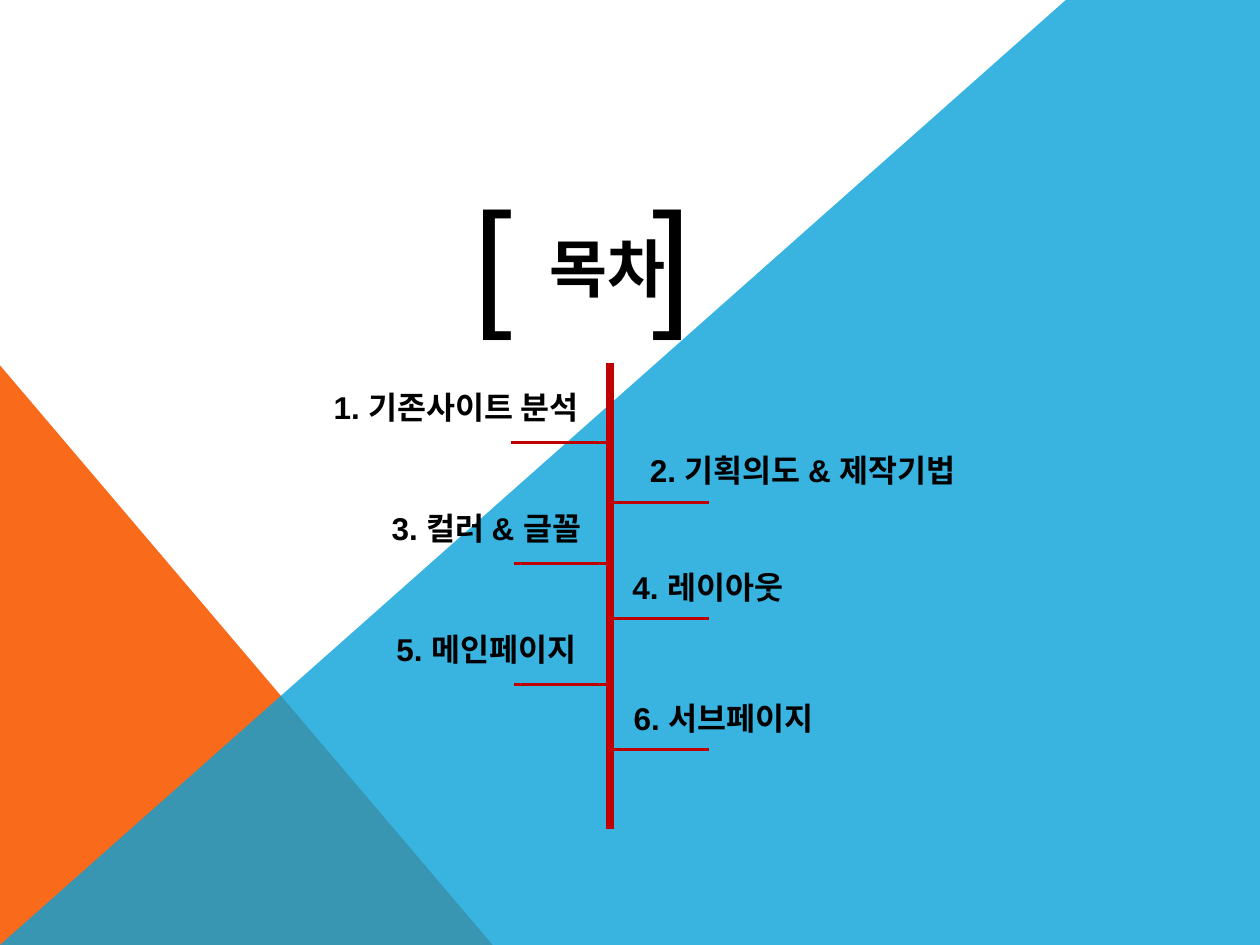
from lxml.etree import SubElement
from pptx import Presentation
from pptx.dml.color import RGBColor
from pptx.enum.shapes import MSO_CONNECTOR, MSO_SHAPE
from pptx.enum.text import MSO_ANCHOR, MSO_AUTO_SIZE, PP_ALIGN
from pptx.oxml.ns import qn
from pptx.util import Pt

COLORS = {"orange": "F96A1B", "blue": "08A1D9", "red": "C00000", "black": "000000"}
FONT = "Arial"
CENTER, LEFT = PP_ALIGN.CENTER, PP_ALIGN.LEFT

ITEMS = [
    ("1. 기존사이트 분석", CENTER, -175.7, 10.8, 175.7, -56.2, 45.4),
    ("2. 기획의도 & 제작기법", CENTER, -1.4, 46.8, 223.2, 2.2, 79.9),
    ("3. 컬러 & 글꼴", CENTER, -158.4, 79.9, 175.7, -54.7, 114.5),
    ("4. 레이아웃", LEFT, 5.8, 113.8, 207.4, 2.2, 146.1),
    ("5. 메인페이지", CENTER, -158.4, 149, 175.7, -54.7, 183.6),
    ("6. 서브페이지", LEFT, 6.5, 188.6, 207.4, 2.2, 221),
]
RULE_LENGTH = 54.7


def color(name):
    return RGBColor.from_string(COLORS[name])


def fill_plain(sp, name):
    sp.shadow.inherit = False
    sp.fill.solid()
    sp.fill.fore_color.rgb = color(name)
    sp.line.fill.background()


def add_run(p, text, size, bold):
    r = p.add_run()
    r.text = text
    r.font.name = FONT
    r.font.size = Pt(size)
    r.font.bold = bold
    r.font.color.rgb = color("black")


def add_text(s, text, x, y, w, h, size, bold=False, align=LEFT):
    sp = s.shapes.add_textbox(Pt(x), Pt(y), Pt(w), Pt(h))
    tf = sp.text_frame
    tf.word_wrap = True
    p = tf.paragraphs[0]
    p.alignment = align
    add_run(p, text, size, bold)
    return p


def add_line(s, x1, y1, x2, y2, width):
    line = s.shapes.add_connector(MSO_CONNECTOR.STRAIGHT, Pt(x1), Pt(y1), Pt(x2), Pt(y2))
    line.line.color.rgb = color("red")
    line.line.width = Pt(width)
    SubElement(line._element.spPr, qn("a:effectLst"))


def add_backdrop(s, x, y, w, h):
    corner_top = y + 208.8
    corner = s.shapes.add_shape(MSO_SHAPE.RIGHT_TRIANGLE, Pt(x), Pt(corner_top),
                                Pt(281.5), Pt(y + h - corner_top))
    fill_plain(corner, "orange")

    builder = s.shapes.build_freeform(Pt(x), Pt(y + h))
    builder.add_line_segments([(Pt(x + 609.1), Pt(y)), (Pt(x + w), Pt(y)),
                               (Pt(x + w), Pt(y + h))], close=True)
    slope = builder.convert_to_shape()
    fill_plain(slope, "blue")
    tint = slope._element.spPr.find(qn("a:solidFill"))[0]
    SubElement(tint, qn("a:alpha"), val="80000")

    tree = s.shapes._spTree
    for i, sp in enumerate((corner, slope)):
        tree.insert(2 + i, sp._element)


def add_heading(s, x, y, w, h):
    title = s.shapes.title
    title.left, title.top = Pt(x + 43.2), Pt(y + 33.1)
    title.width, title.height = Pt(87.1), Pt(51.1)
    tf = title.text_frame
    tf.auto_size = MSO_AUTO_SIZE.NONE
    tf.word_wrap = False
    tf.vertical_anchor = MSO_ANCHOR.TOP
    p = tf.paragraphs[0]
    p.alignment = LEFT
    p.line_spacing = 1.0
    p.space_before = Pt(0)
    add_run(p, "목차", 36, True)

    brackets = add_text(s, "[\t]", x, y, w, h, 80)
    tabs = SubElement(brackets._p.get_or_add_pPr(), qn("a:tabLst"))
    SubElement(tabs, qn("a:tab"), pos=str(Pt(102.3)), algn="l")


def add_contents(s, x, y, w, h):
    spine = x + 175.7
    add_line(s, spine, y, spine, y + h, 4.5)
    for text, align, dx, dy, width, rule_dx, rule_dy in ITEMS:
        add_text(s, text, spine + dx, y + dy, width, 28.8, 18, True, align)
        start = spine + rule_dx
        add_line(s, start, y + rule_dy, start + RULE_LENGTH, y + rule_dy, 1.5)


def main():
    prs = Presentation()
    prs.slide_width, prs.slide_height = Pt(720), Pt(540)
    s = prs.slides.add_slide(prs.slide_layouts[5])
    add_backdrop(s, 0, 0, 720, 540)
    add_heading(s, 263.5, 94.3, 166.3, 104.4)
    add_contents(s, 172.8, 207.4, 397.5, 266.4)
    prs.save("out.pptx")


if __name__ == "__main__":
    main()
